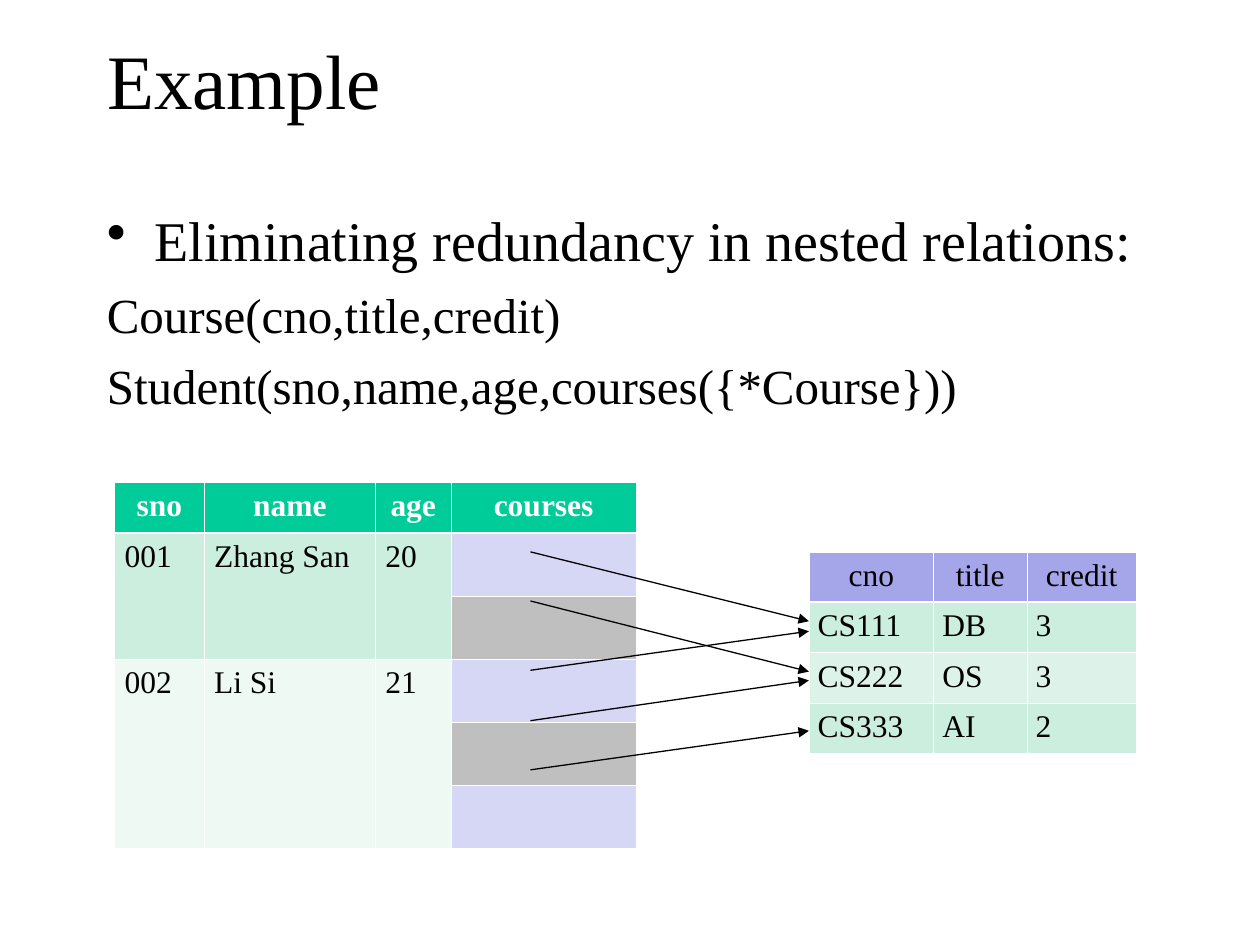
import pptx
import pptx.util
import pptx.dml.color
import pptx.enum.shapes
import pptx.enum.text
import pptx.oxml
import pptx.oxml.ns
import lxml.etree

Inches = pptx.util.Inches
Pt = pptx.util.Pt
ALIGN = pptx.enum.text.PP_ALIGN
ANCHOR = pptx.enum.text.MSO_ANCHOR
FONT = "Times New Roman"
BLACK, WHITE = "000000", "FFFFFF"
LILAC, GREY = "D6D6F5", "BFBFBF"
MINT, LIGHT_MINT, PALE_MINT = "CCEEDF", "DDF3EA", "EEF9F4"
THIN, THICK = 0.45, 1.47


def color(value):
    return pptx.dml.color.RGBColor.from_string(value)


def add_child(parent, tag, **attributes):
    child = lxml.etree.SubElement(parent, pptx.oxml.ns.qn(tag))
    for name, value in attributes.items():
        child.set(name, str(value))
    return child


def format_runs(paragraph, size, value=BLACK, bold=False):
    for run in paragraph.runs:
        run.font.name = FONT
        run.font.size = Pt(size)
        run.font.bold = bold
        run.font.color.rgb = color(value)


def add_title(slide, box, text):
    title = slide.shapes.title
    title.left, title.top, title.width, title.height = map(Inches, box)
    title.text_frame.text = text
    title.text_frame.vertical_anchor = ANCHOR.MIDDLE
    paragraph = title.text_frame.paragraphs[0]
    paragraph.alignment = ALIGN.LEFT
    format_runs(paragraph, 44)


def add_body(slide, box, lines):
    """Lines are (text, size, space before, bulleted)."""
    frame = slide.shapes.add_textbox(*map(Inches, box)).text_frame
    frame.word_wrap = True
    frame.text = "\n".join(line[0] for line in lines)
    for paragraph, (_, size, space, bulleted) in zip(frame.paragraphs, lines):
        paragraph.space_before = Pt(space)
        format_runs(paragraph, size)
        properties = paragraph._p.get_or_add_pPr()
        properties.set("marL", str(Inches(0.38)))
        properties.set("indent", str(-Inches(0.38)))
        if bulleted:
            add_child(properties, "a:buChar", char="•")
        else:
            add_child(properties, "a:buNone")


def set_borders(cell, top, bottom):
    properties = cell._tc.get_or_add_tcPr()
    widths = {"a:lnL": THIN, "a:lnR": THIN, "a:lnT": top, "a:lnB": bottom}
    for index, (tag, width) in enumerate(widths.items()):
        line = add_child(properties, tag, w=Pt(width))
        add_child(add_child(line, "a:solidFill"), "a:srgbClr", val=WHITE)
        properties.insert(index, line)  # borders come before the fill


def add_table(slide, box, columns, rows, fills, margin, header_color,
              header_bold, body_alignment):
    """Fills hold one colour for each cell; the first row is the header."""
    shape = slide.shapes.add_table(len(rows), len(columns), *map(Inches, box))
    table = shape.table
    for column, width in zip(table.columns, columns):
        column.width = Inches(width)
    for row in table.rows:
        row.height = Inches(0.4)
    for r, values in enumerate(rows):
        for c, text in enumerate(values):
            cell = table.cell(r, c)
            cell.fill.solid()
            cell.fill.fore_color.rgb = color(fills[r][c])
            cell.margin_left = cell.margin_right = Inches(margin)
            set_borders(cell, THICK if r == 1 else THIN, THICK if r == 0 else THIN)
            paragraph = cell.text_frame.paragraphs[0]
            if text:
                paragraph.text = text
                paragraph.alignment = ALIGN.CENTER if r == 0 else body_alignment
                format_runs(paragraph, 18, header_color if r == 0 else BLACK,
                            header_bold and r == 0)
            elif c == len(columns) - 1:
                # Empty reference cells keep the height of a 24 pt line
                end = add_child(paragraph._p, "a:endParaRPr", sz=2400)
                add_child(end, "a:latin", typeface=FONT)
    return table


def add_student_table(slide, box):
    rows = [("sno", "name", "age", "courses"),
            ("001", "Zhang San", "20", ""), ("", "", "", ""),
            ("002", "Li Si", "21", ""), ("", "", "", ""), ("", "", "", "")]
    fills = [["00CC99"] * 4]
    for r in range(1, len(rows)):
        fills.append([MINT if r < 3 else PALE_MINT] * 3 + [LILAC if r % 2 else GREY])
    table = add_table(slide, box, (0.71, 1.36, 0.6, 1.47), rows, fills, 0.08,
                      WHITE, True, ALIGN.JUSTIFY)
    for first, last in ((1, 2), (3, 5)):
        for c in range(3):
            table.cell(first, c).merge(table.cell(last, c))


def add_course_table(slide, box):
    rows = [("cno", "title", "credit"), ("CS111", "DB", "3"),
            ("CS222", "OS", "3"), ("CS333", "AI", "2")]
    fills = [[value] * 3 for value in ("A5A5E9", MINT, LIGHT_MINT, MINT)]
    add_table(slide, box, (0.99, 0.74, 0.87), rows, fills, 0.07,
              BLACK, False, ALIGN.LEFT)


def add_reference_arrows(slide, left, right, spans):
    for start, end in spans:
        arrow = slide.shapes.add_connector(
            pptx.enum.shapes.MSO_CONNECTOR.STRAIGHT,
            Inches(left), Inches(start), Inches(right), Inches(end))
        arrow.line.color.rgb = color(BLACK)
        arrow.line.width = Pt(0.75)
        add_child(arrow.line._get_or_add_ln(), "a:tailEnd", type="triangle")
        add_child(arrow._element.spPr, "a:effectLst")


def main():
    presentation = pptx.Presentation()
    presentation.slide_width = Inches(10)
    presentation.slide_height = Inches(7.5)
    slide = presentation.slides.add_slide(presentation.slide_layouts[5])

    # Heading and text
    add_title(slide, (0.75, 0, 8.5, 1.25), "Example")
    add_body(slide, (0.75, 1.58, 8.5, 5.08), [
        ("Eliminating redundancy in nested relations:", 32, 8, True),
        ("Course(cno,title,credit)", 28, 7, False),
        ("Student(sno,name,age,courses({*Course}))", 28, 7, False)])

    # Tables, and arrows from each nested course to its row
    add_student_table(slide, (0.91, 3.83, 4.14, 2.4))
    add_course_table(slide, (6.42, 4.38, 2.6, 1.6))
    add_reference_arrows(slide, 4.21, 6.42, [
        (4.38, 4.93), (4.77, 5.33), (5.32, 5.01), (5.72, 5.4), (6.11, 5.8)])

    presentation.save("out.pptx")


if __name__ == "__main__":
    main()
